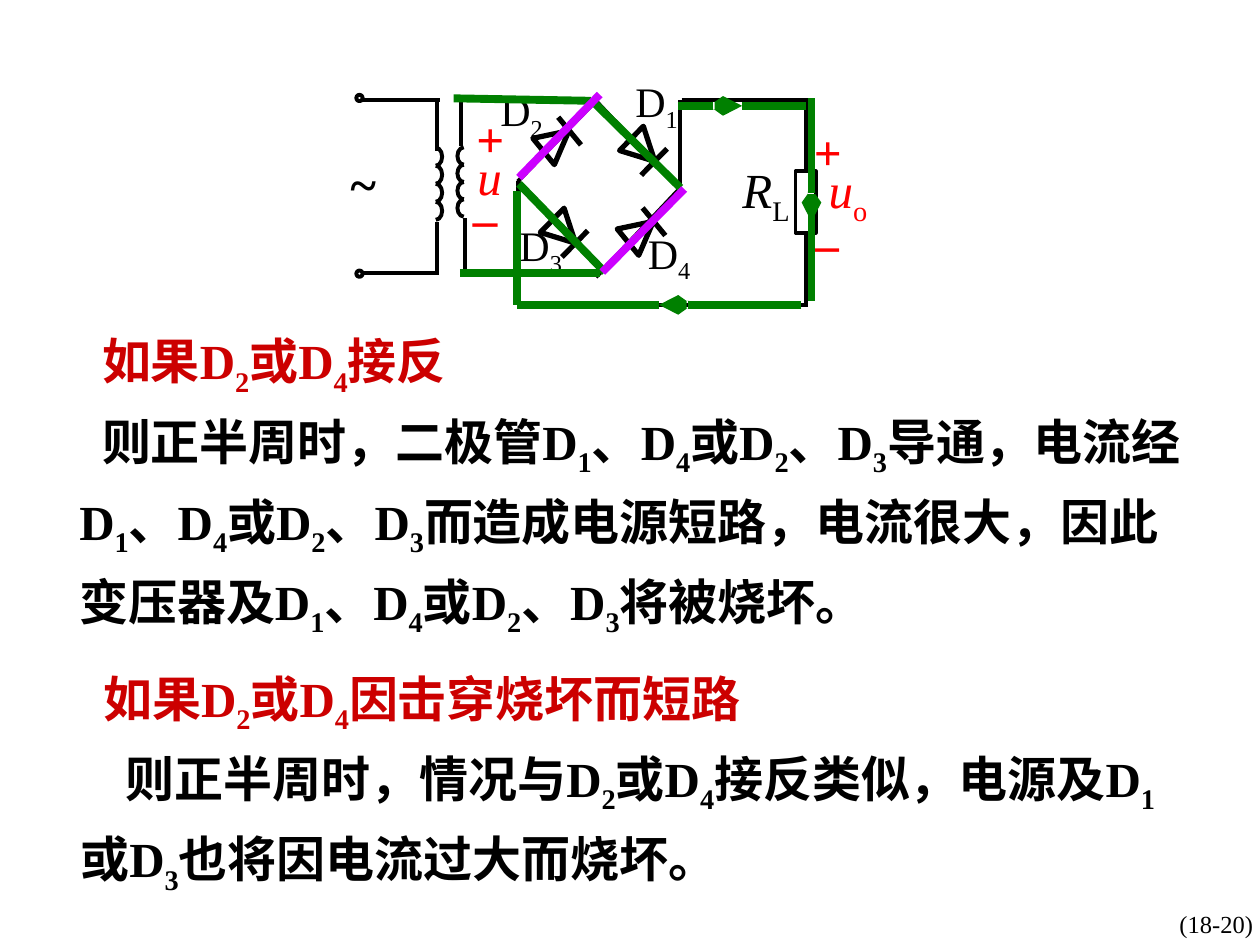
from dataclasses import dataclass

from lxml import etree
from pptx import Presentation
from pptx.dml.color import RGBColor
from pptx.enum.shapes import MSO_CONNECTOR, MSO_SHAPE
from pptx.enum.text import MSO_ANCHOR, MSO_AUTO_SIZE, PP_ALIGN
from pptx.oxml.ns import qn
from pptx.util import Pt

STRAIGHT = MSO_CONNECTOR.STRAIGHT
ARC = MSO_SHAPE.ARC
RECT = MSO_SHAPE.RECTANGLE
RING = MSO_SHAPE.FLOWCHART_CONNECTOR
DIODE = MSO_SHAPE.FLOWCHART_EXTRACT
GROW = MSO_AUTO_SIZE.SHAPE_TO_FIT_TEXT
MIDDLE, TOP = MSO_ANCHOR.MIDDLE, MSO_ANCHOR.TOP
CENTER, LEFT = PP_ALIGN.CENTER, PP_ALIGN.LEFT


@dataclass(frozen=True)
class Theme:
    latin: str = "Times New Roman"
    asian: str = "Noto Sans CJK SC"
    black: str = "000000"
    red: str = "FF0000"
    title: str = "CC0000"
    green: str = "008000"
    purple: str = "CC00FF"
    body: int = 28
    name: int = 24
    page: int = 14
    thin: float = 2.25
    mid: float = 3
    thick: float = 4.5


@dataclass(frozen=True)
class Wire:
    x1: float
    y1: float
    x2: float
    y2: float
    arrow: bool = False


@dataclass(frozen=True)
class Diode:
    x: float
    y: float
    turn: float
    bar: tuple


@dataclass(frozen=True)
class Coil:
    x: float
    y: float
    step: float
    start: int
    end: int


@dataclass(frozen=True)
class Label:
    text: str
    x: float
    y: float
    w: float
    h: float
    size: int
    color: str
    bold: bool = False
    italic: bool = False
    wrap: bool = False
    pad: float = 7.2


@dataclass(frozen=True)
class Para:
    text: str
    color: str
    indent: float


T = Theme()
DOWN = (134.5, (23.4, 8.7, 8.6, 23.8))
UP = (50.7, (10.8, -4.3, 23.8, 11.5))

WIRES = [
    Wire(263.5, 83.5, 263.5, 56.9), Wire(265.7, 124.6, 265.7, 156.2),
    Wire(295.9, 103.7, 295.9, 174.2), Wire(265.7, 156.2, 343.4, 156.2),
    Wire(263.5, 56.9, 341.3, 56.9), Wire(297.4, 174.2, 461.5, 174.2),
    Wire(207.4, 56.9, 251.3, 56.9), Wire(249.8, 56.2, 249.8, 86.4),
    Wire(249.8, 126.7, 249.8, 157), Wire(207.4, 156.2, 249.1, 156.2),
    Wire(340.6, 57.6, 295.9, 103.7), Wire(340.6, 57.6, 388.1, 108),
    Wire(295.9, 103.7, 344.2, 154.8), Wire(388.1, 108, 340.6, 158.4),
    Wire(388.8, 56.9, 388.8, 108.7), Wire(389.5, 56.9, 460.8, 56.9),
]
FLOW = [
    Wire(296.6, 105.1, 345.6, 155.5), Wire(262.8, 156.2, 342.7, 156.2),
    Wire(259.2, 56.2, 337.7, 57.6), Wire(339.8, 59, 388.8, 107.3),
    Wire(424.1, 60.5, 460.8, 60.5), Wire(387.4, 60.5, 424.1, 60.5, True),
    Wire(463.7, 121.7, 463.7, 172.1), Wire(463.7, 56.2, 463.7, 126.7, True),
    Wire(295.2, 109.4, 295.2, 174.2), Wire(376.6, 174.2, 295.2, 174.2),
    Wire(457.9, 174.2, 376.6, 174.2, True),
]
FAULT = [Wire(296.6, 101.5, 342.7, 54), Wire(344.2, 155.5, 391, 108)]
DIODES = [
    Diode(312.5, 123.1, *DOWN), Diode(357.8, 76.3, *DOWN),
    Diode(356.4, 123.1, *UP), Diode(308.2, 71.3, *UP),
]
COILS = [Coil(261.4, 84.2, 9.9, 90, 270), Coil(245.5, 84.4, 10.3, 270, 90)]
LABELS = [
    Label("u^o", 461.5, 87.8, 46.1, 45.4, T.body, T.red, italic=True, wrap=True),
    Label("+", 457.9, 65.5, 30.2, 41, T.body, T.red, bold=True),
    Label("_", 460.1, 108.7, 28.1, 41, T.body, T.red, bold=True, italic=True),
    Label("~", 192.2, 84.2, 30.2, 41, T.body, T.black, bold=True, italic=True),
    Label("u", 256.3, 79.9, 46.8, 41, T.body, T.red, italic=True, wrap=True),
    Label("+", 265, 58.3, 30.2, 41, T.body, T.red, bold=True),
    Label("_", 265, 94.3, 28.1, 41, T.body, T.red, bold=True, italic=True),
    Label("R^L", 414.7, 87.8, 46.1, 45.4, T.body, T.black, italic=True, wrap=True),
    Label("D^2", 277.2, 44.6, 41.8, 40.3, T.name, T.black, wrap=True),
    Label("D^4", 362.9, 126, 38.9, 40.3, T.name, T.black),
    Label("D^1", 352.9, 39.6, 44.6, 40.3, T.name, T.black),
    Label("D^3", 286.7, 121.7, 44.6, 40.3, T.name, T.black),
    Label("(18-20)", 670.5, 516, 49, 23.8, T.page, T.black, pad=0),
]
REVERSED = [
    Para("如果D^2或D^4接反", T.title, 13),
    Para("则正半周时，二极管D^1、D^4或D^2、D^3导通，电流经D^1、D^4或D^2、D^3"
         "而造成电源短路，电流很大，因此变压器及D^1、D^4或D^2、D^3将被烧坏。",
         T.black, 13),
]
SHORTED = [
    Para("如果D^2或D^4因击穿烧坏而短路", T.title, 13),
    Para("则正半周时，情况与D^2或D^4接反类似，电源及D^1或D^3也将因电流过大而烧坏。",
         T.black, 26),
]


def write(para, text: str, *, size: int, color: str,
          bold: bool = False, italic: bool = False) -> None:
    first, *rest = text.split("^")
    parts = [(first, False)]
    for part in rest:
        parts += [(part[0], True), (part[1:], False)]
    for chars, low in parts:
        if not chars:
            continue
        run = para.add_run()
        run.text = chars
        font = run.font
        font.size, font.bold, font.italic = Pt(size), bold, italic and not low
        font.color.rgb = RGBColor.from_string(color)
        font.name = T.latin
        props = run._r.get_or_add_rPr()
        etree.SubElement(props, qn("a:ea"), typeface=T.asian)
        if low:
            props.set("baseline", "-25000")


def add_box(shapes, x: float, y: float, w: float, h: float, anchor, wrap: bool):
    frame = shapes.add_textbox(Pt(x), Pt(y), Pt(w), Pt(h)).text_frame
    frame.word_wrap = wrap
    frame.auto_size = GROW
    frame.vertical_anchor = anchor
    return frame


def add_label(shapes, label: Label) -> None:
    frame = add_box(shapes, label.x, label.y, label.w, label.h, MIDDLE, label.wrap)
    frame.margin_left = frame.margin_right = Pt(label.pad)
    para = frame.paragraphs[0]
    para.alignment = CENTER
    write(para, label.text, size=label.size, color=label.color,
          bold=label.bold, italic=label.italic)


def add_body(shapes, paras: list, x: float, y: float, w: float, h: float, anchor) -> None:
    frame = add_box(shapes, x, y, w, h, anchor, True)
    for i, item in enumerate(paras):
        para = frame.add_paragraph() if i else frame.paragraphs[0]
        para.alignment = LEFT
        para.line_spacing = 1.2
        para._p.get_or_add_pPr().set("indent", str(Pt(item.indent)))
        write(para, item.text, size=T.body, color=item.color, bold=True)


def add_wire(shapes, wire: Wire, color: str, width: float):
    line = shapes.add_connector(STRAIGHT, Pt(wire.x1), Pt(wire.y1), Pt(wire.x2), Pt(wire.y2))
    line.line.color.rgb = RGBColor.from_string(color)
    line.line.width = Pt(width)
    if wire.arrow:
        etree.SubElement(line.line._get_or_add_ln(), qn("a:tailEnd"), type="arrow", w="sm")
    etree.SubElement(line._element.spPr, qn("a:effectLst"))
    return line


def add_part(shapes, kind, x: float, y: float, w: float, h: float, width: float):
    part = shapes.add_shape(kind, Pt(x), Pt(y), Pt(w), Pt(h))
    part.shadow.inherit = False
    part.fill.background()
    part.line.color.rgb = RGBColor.from_string(T.black)
    part.line.width = Pt(width)
    return part


def add_diode(shapes, diode: Diode) -> None:
    part = add_part(shapes, DIODE, diode.x, diode.y, 19.4, 18.7, T.mid)
    part.rotation = diode.turn
    x1, y1, x2, y2 = diode.bar
    bar = Wire(diode.x + x1, diode.y + y1, diode.x + x2, diode.y + y2)
    add_wire(shapes, bar, T.black, T.mid)


def add_coil(shapes, coil: Coil) -> None:
    for i in range(4):
        turn = add_part(shapes, ARC, coil.x, coil.y + i * coil.step, 7.2, coil.step, T.thin)
        turn.adjustments[0] = coil.start * 0.6
        turn.adjustments[1] = coil.end * 0.6


def add_load(shapes) -> None:
    load = add_part(shapes, RECT, 454.6, 97.9, 11.6, 35, T.thin)
    lead = add_wire(shapes, Wire(460.4, 56.2, 460.4, 97.9), T.black, T.thin)
    lead.end_connect(load, 0)
    tail = add_wire(shapes, Wire(460.4, 132.9, 460.4, 174.2), T.black, T.thin)
    tail.begin_connect(load, 2)


def main() -> None:
    deck = Presentation()
    deck.slide_width, deck.slide_height = Pt(720), Pt(540)
    shapes = deck.slides.add_slide(deck.slide_layouts[6]).shapes
    add_body(shapes, REVERSED, 38.2, 177.8, 649.4, 190.8, MIDDLE)
    add_body(shapes, SHORTED, 38.9, 370.8, 655.9, 144.7, TOP)
    for coil in COILS:
        add_coil(shapes, coil)
    for diode in DIODES:
        add_diode(shapes, diode)
    add_load(shapes)
    for y in (54.2, 154.6):
        add_part(shapes, RING, 203.6, y, 3.6, 3.6, T.thin)
    for wire in WIRES:
        add_wire(shapes, wire, T.black, T.thin)
    for label in LABELS:
        add_label(shapes, label)
    for wires, color in ((FLOW, T.green), (FAULT, T.purple)):
        for wire in wires:
            add_wire(shapes, wire, color, T.thick)
    deck.save("out.pptx")


if __name__ == "__main__":
    main()
